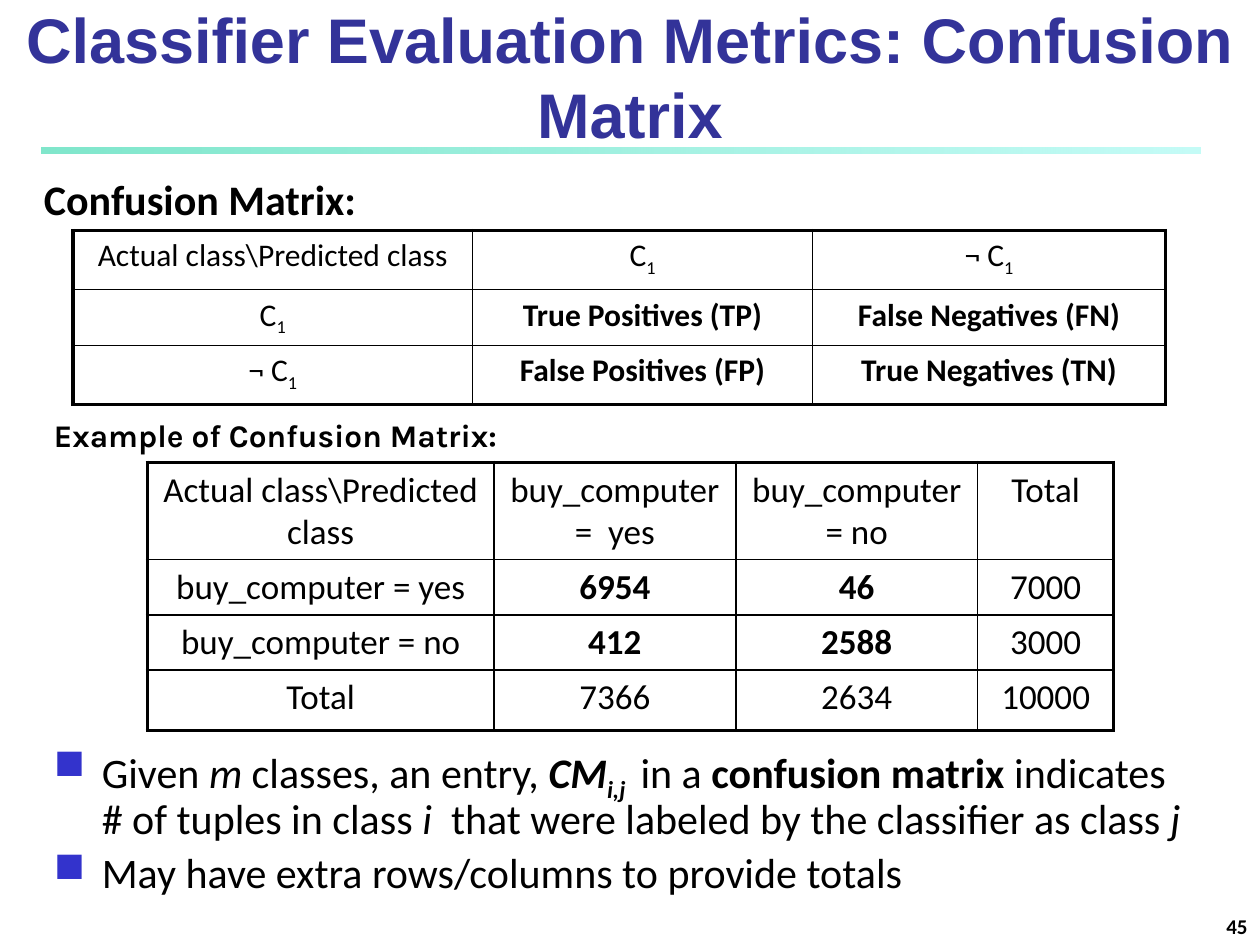
"""Build a slide that explains the confusion matrix with a definition, an example and notes."""
from dataclasses import dataclass

from lxml import etree
from pptx import Presentation
from pptx.dml.color import RGBColor
from pptx.enum.shapes import MSO_SHAPE
from pptx.enum.text import MSO_ANCHOR, PP_ALIGN
from pptx.oxml import parse_xml
from pptx.oxml.ns import qn
from pptx.util import Inches, Pt

RECTANGLE = MSO_SHAPE.RECTANGLE
TOP, BOTTOM = MSO_ANCHOR.TOP, MSO_ANCHOR.BOTTOM
LEFT, CENTER, RIGHT = PP_ALIGN.LEFT, PP_ALIGN.CENTER, PP_ALIGN.RIGHT
DRAWING_NS = "http://schemas.openxmlformats.org/drawingml/2006/main"


@dataclass(frozen=True)
class Theme:
    ink: str = "000000"
    title: str = "333399"
    bullet: str = "3333CC"
    rule: tuple = (("00CE98", 50), ("8FF9EF", 52))
    title_size: int = 36
    body_size: int = 24
    example_size: int = 20
    small_size: int = 18
    number_size: int = 12
    outer_line: float = 2.25
    inner_line: float = 1


THEME = Theme()


def write_runs(paragraph, runs, size, font="Calibri", color=THEME.ink):
    for text, style in runs:
        run = paragraph.add_run()
        run.text = text
        look = {"name": font, "size": Pt(size), "bold": "b" in style, "italic": "i" in style}
        for key, value in look.items():
            setattr(run.font, key, value)
        run.font.color.rgb = RGBColor.from_string(color)
        if "s" in style:
            run._r.get_or_add_rPr().set("baseline", "-25000")


def add_text_frame(slide, box, anchor=TOP):
    frame = slide.shapes.add_textbox(*map(Inches, box)).text_frame
    frame.word_wrap = True
    frame.vertical_anchor = anchor
    return frame


deck = Presentation()
deck.slide_width, deck.slide_height = Inches(10), Inches(7.5)
slide = deck.slides.add_slide(deck.slide_layouts[6])

title_rule = slide.shapes.add_shape(RECTANGLE, Inches(0.33), Inches(1.17), Inches(9.2), Inches(0.05))
title_rule.shadow.inherit = False
title_rule.line.fill.background()
title_rule.fill.gradient()
title_rule.fill.gradient_angle = 0
for stop, (color, opacity) in zip(title_rule.fill.gradient_stops, THEME.rule):
    stop.color.rgb = RGBColor.from_string(color)
for tint, (color, opacity) in zip(title_rule._element.spPr.iter(qn("a:srgbClr")), THEME.rule):
    etree.SubElement(tint, qn("a:alpha")).set("val", str(opacity * 1000))

labels = [
    ("Classifier Evaluation Metrics: Confusion Matrix", (0, 0, 10, 1.25),
     THEME.title_size, "Arial", THEME.title, CENTER, BOTTOM),
    ("Confusion Matrix:", (0.25, 1.33, 2.85, 0.5), THEME.body_size, "Calibri", THEME.ink, LEFT, TOP),
    ("Example of Confusion Matrix:", (0.33, 3.25, 3.9, 0.4),
     THEME.small_size, "Karla", THEME.ink, LEFT, TOP),
    ("45", (7.92, 7.08, 2.08, 0.42), THEME.number_size, "Calibri", THEME.ink, RIGHT, BOTTOM),
]
for text, box, size, font, color, align, anchor in labels:
    paragraph = add_text_frame(slide, box, anchor).paragraphs[0]
    paragraph.alignment = align
    write_runs(paragraph, [(text, "b")], size, font, color)

positive = [("C", ""), ("1", "s")]
negative = [("¬ C", ""), ("1", "s")]
corner = [("Actual class\\Predicted class", "")]
definition_rows = [
    [corner, positive, negative],
    [positive, [("True Positives (TP)", "b")], [("False Negatives (FN)", "b")]],
    [negative, [("False Positives (FP)", "b")], [("True Negatives (TN)", "b")]],
]
example_rows = [
    [corner, [("buy_computer =  yes", "")], [("buy_computer = no", "")], [("Total", "")]],
    [[("buy_computer = yes", "")], [("6954", "b")], [("46", "b")], [("7000", "")]],
    [[("buy_computer = no", "")], [("412", "b")], [("2588", "b")], [("3000", "")]],
    [[("Total", "")], [("7366", "")], [("2634", "")], [("10000", "")]],
]
matrices = [
    (definition_rows, 0.58, 1.83, [3.17, 2.7, 2.8], [0.47, 0.44, 0.47], THEME.small_size),
    (example_rows, 1.17, 3.67, [2.75, 1.92, 1.92, 1.08], [0.77, 0.44, 0.44, 0.48], THEME.example_size),
]
for rows, left, top, widths, heights, size in matrices:
    matrix = slide.shapes.add_table(
        len(heights), len(widths), Inches(left), Inches(top),
        Inches(sum(widths)), Inches(sum(heights))).table
    matrix.first_row = matrix.horz_banding = False
    for column, width in zip(matrix.columns, widths):
        column.width = Inches(width)
    for row, height in zip(matrix.rows, heights):
        row.height = Inches(height)
    for r, row in enumerate(rows):
        for c, runs in enumerate(row):
            cell = matrix.cell(r, c)
            cell.fill.background()
            paragraph = cell.text_frame.paragraphs[0]
            paragraph.alignment = CENTER
            write_runs(paragraph, runs, size)
            outer_sides = {"L": c == 0, "R": c == len(widths) - 1,
                           "T": r == 0, "B": r == len(heights) - 1}
            for position, (side, is_outer) in enumerate(outer_sides.items()):
                weight = Pt(THEME.outer_line if is_outer else THEME.inner_line)
                cell._tc.get_or_add_tcPr().insert(position, parse_xml(
                    f'<a:ln{side} xmlns:a="{DRAWING_NS}" w="{weight}"><a:solidFill>'
                    f'<a:srgbClr val="{THEME.ink}"/></a:solidFill></a:ln{side}>'))

notes = [
    [("Given", ""), (" m", "i"), (" classes, an entry, ", ""), ("CM", "bi"), ("i,j ", "bis"),
     (" in a ", ""), ("confusion matrix", "b"), (" indicates # of tuples in class ", ""),
     ("i", "i"), ("  that were labeled by the classifier as class ", ""), ("j", "i")],
    [("May have extra rows/columns to provide totals", "")],
]
notes_frame = add_text_frame(slide, (0.33, 5.88, 9.25, 1.38))
for index, runs in enumerate(notes):
    paragraph = notes_frame.add_paragraph() if index else notes_frame.paragraphs[0]
    paragraph.line_spacing = 0.9
    paragraph.space_before = Pt(4.8 * index)
    write_runs(paragraph, runs, THEME.body_size)
    properties = paragraph._p.get_or_add_pPr()
    properties.set("marL", str(Inches(0.38)))
    properties.set("indent", str(Inches(-0.38)))
    bullet_color = etree.SubElement(properties, qn("a:buClr"))
    etree.SubElement(bullet_color, qn("a:srgbClr")).set("val", THEME.bullet)
    etree.SubElement(properties, qn("a:buChar")).set("char", "■")

deck.save("out.pptx")
